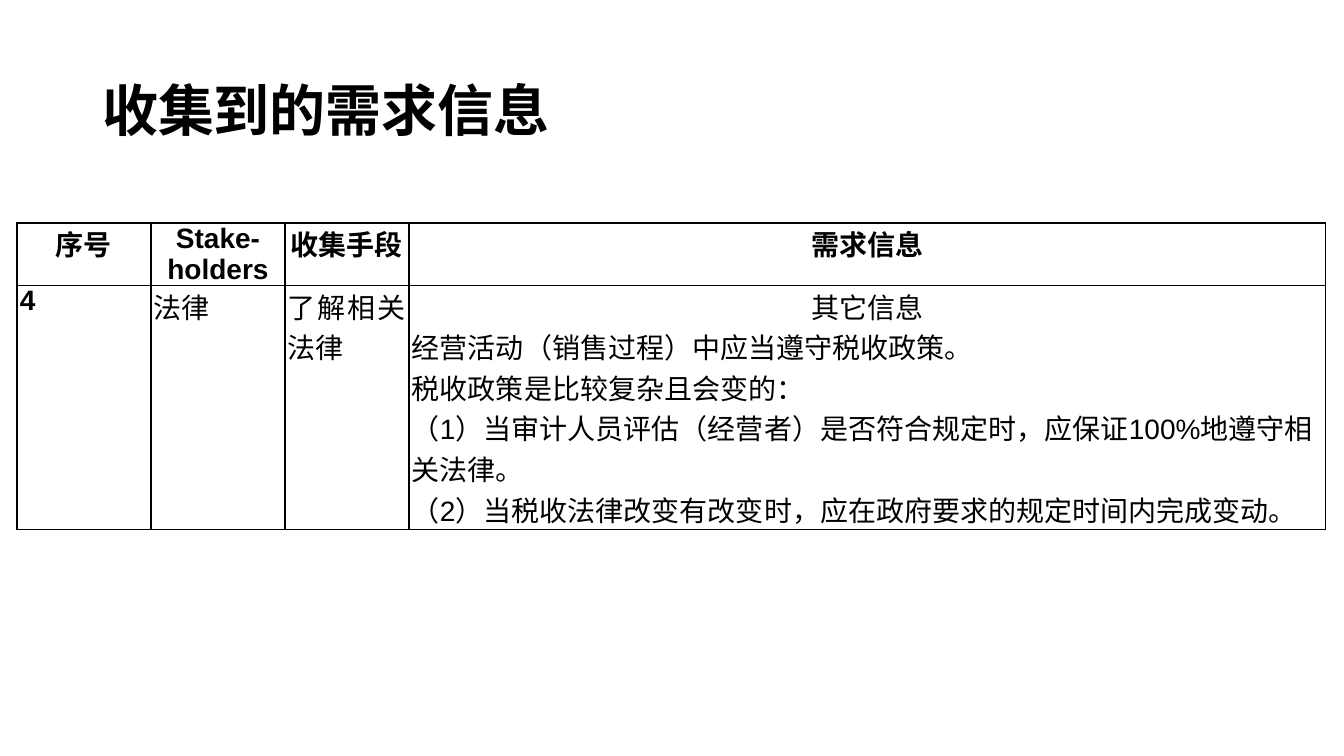
from lxml import etree
from pptx import Presentation
from pptx.dml.color import RGBColor
from pptx.enum.text import MSO_ANCHOR, PP_ALIGN
from pptx.oxml.ns import qn
from pptx.util import Emu, Pt

EMU_PER_PX = 914400 / 100.8
BLACK = RGBColor(0, 0, 0)
WHITE = RGBColor(255, 255, 255)
LEFT, CENTER, JUSTIFY = PP_ALIGN.LEFT, PP_ALIGN.CENTER, PP_ALIGN.JUSTIFY
MIDDLE, TOP = MSO_ANCHOR.MIDDLE, MSO_ANCHOR.TOP
TITLE_ONLY = 5

COLUMN_WIDTHS = (134, 134, 124, 917)
ROW_HEIGHTS = (62, 244)
HEADINGS = ("序号", "Stake-holders", "收集手段", "需求信息")
SOURCE_CELLS = (("4", True), ("法律", False), ("了解相关法律", False))
REQUIREMENTS = (
    "其它信息",
    "经营活动（销售过程）中应当遵守税收政策。",
    "税收政策是比较复杂且会变的：",
    "（1）当审计人员评估（经营者）是否符合规定时，应保证100%地遵守相关法律。",
    "（2）当税收法律改变有改变时，应在政府要求的规定时间内完成变动。",
)


def px(length):
    return Emu(round(length * EMU_PER_PX))


def format_paragraph(paragraph, font_name, size, bold, align):
    paragraph.alignment = align
    for run in paragraph.runs:
        run.font.name = font_name
        run.font.size = Pt(size)
        run.font.bold = bold
        run.font.color.rgb = BLACK


def add_title(slide, text):
    title = slide.shapes.title
    title.left, title.top, title.width, title.height = map(px, (92, 40, 1159, 146))
    frame = title.text_frame
    frame.text = text
    frame.word_wrap = True
    frame.vertical_anchor = MIDDLE
    heading = frame.paragraphs[0]
    heading.line_spacing = 0.9
    format_paragraph(heading, "Calibri", 40, True, LEFT)


def add_borders(cell):
    """Insert the four cell borders ahead of the fill, as the schema requires."""
    properties = cell._tc.get_or_add_tcPr()
    for position, side in enumerate(("a:lnL", "a:lnR", "a:lnT", "a:lnB")):
        line = etree.Element(qn(side), w=str(Pt(1)))
        fill = etree.SubElement(line, qn("a:solidFill"))
        etree.SubElement(fill, qn("a:srgbClr"), val=str(BLACK))
        properties.insert(position, line)


def fill_cell(cell, lines, bold, aligns):
    cell.margin_left = cell.margin_right = px(3)
    cell.margin_top = cell.margin_bottom = 0
    cell.vertical_anchor = TOP
    cell.fill.solid()
    cell.fill.fore_color.rgb = WHITE
    add_borders(cell)
    cell.text_frame.text = "\n".join(lines)
    for paragraph, align in zip(cell.text_frame.paragraphs, aligns):
        format_paragraph(paragraph, "Arial", 20, bold, align)


def add_requirements_table(slide):
    frame = slide.shapes.add_table(
        len(ROW_HEIGHTS), len(COLUMN_WIDTHS),
        px(17), px(223), px(sum(COLUMN_WIDTHS)), px(sum(ROW_HEIGHTS)),
    )
    table = frame.table
    for column, width in zip(table.columns, COLUMN_WIDTHS):
        column.width = px(width)
    for row, height in zip(table.rows, ROW_HEIGHTS):
        row.height = px(height)
    for index, heading in enumerate(HEADINGS):
        fill_cell(table.cell(0, index), [heading], True, [CENTER])
    for index, (text, bold) in enumerate(SOURCE_CELLS):
        fill_cell(table.cell(1, index), [text], bold, [JUSTIFY])
    requirement_aligns = [CENTER] + [LEFT] * (len(REQUIREMENTS) - 1)
    fill_cell(table.cell(1, len(SOURCE_CELLS)), REQUIREMENTS, False, requirement_aligns)


def main():
    presentation = Presentation()
    presentation.slide_width, presentation.slide_height = px(1344), px(756)
    slide = presentation.slides.add_slide(presentation.slide_layouts[TITLE_ONLY])
    add_title(slide, "收集到的需求信息")
    add_requirements_table(slide)
    presentation.save("out.pptx")


if __name__ == "__main__":
    main()
